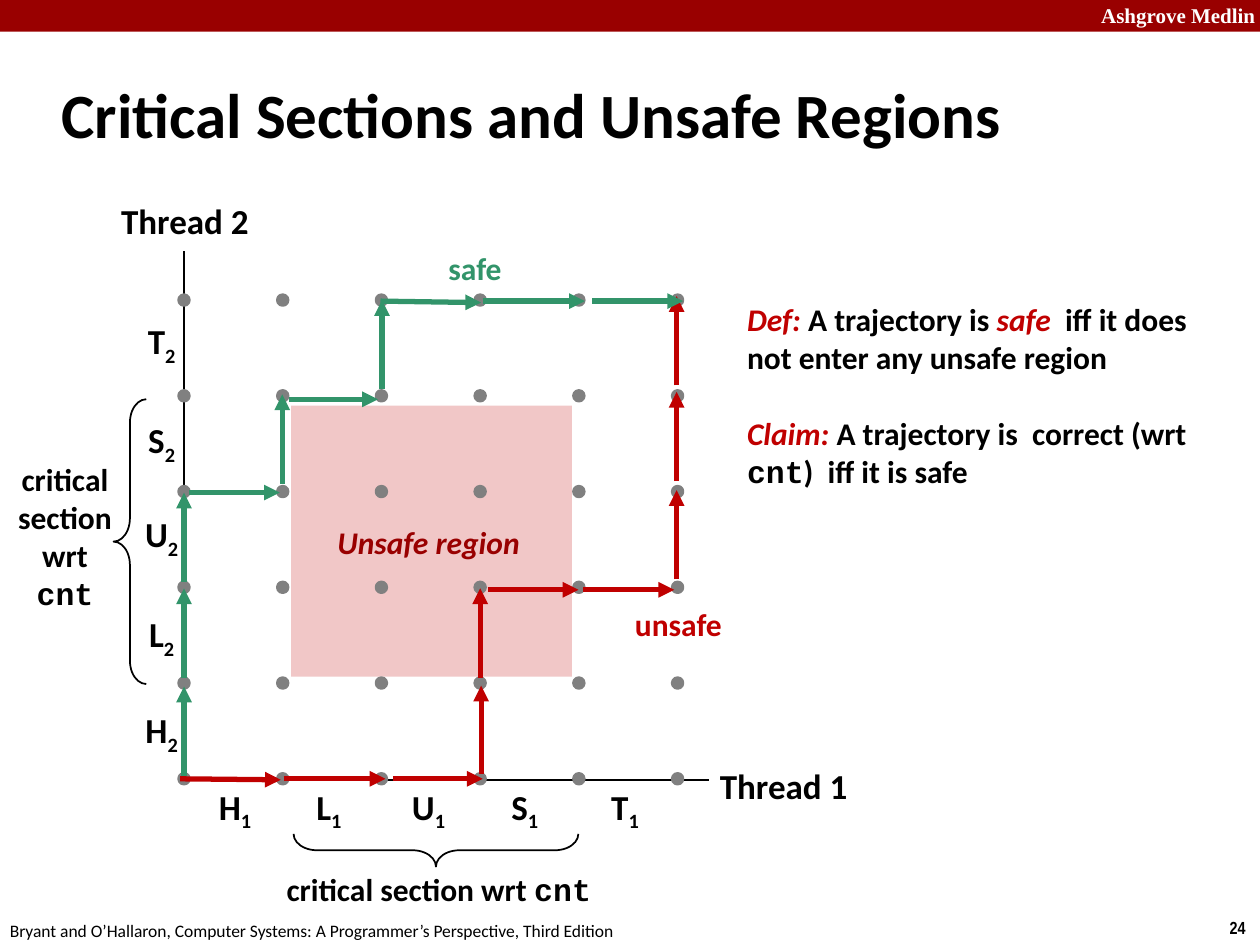
import pptx
import pptx.util
import pptx.dml.color
import pptx.enum.shapes
import pptx.enum.text
import lxml.etree

Cm, Pt = pptx.util.Cm, pptx.util.Pt
Kind = pptx.enum.shapes.MSO_SHAPE
Side = pptx.enum.text.PP_ALIGN
Mid = pptx.enum.text.MSO_ANCHOR.MIDDLE
Top = pptx.enum.text.MSO_ANCHOR.TOP
black, dark, red, green, gray = "000000", "990000", "C00000", "32946A", "808080"
tint = pptx.dml.color.RGBColor.from_string

deck = pptx.Presentation()
deck.slide_width, deck.slide_height = Cm(25.4), Cm(19.05)
slide = deck.slides.add_slide(deck.slide_layouts[6])
shapes = slide.shapes


def write(box, paras, size=18, wrap=False, side=Side.LEFT, anchor=Mid, gap=0):
    frame = shapes.add_textbox(*map(Cm, box)).text_frame
    frame.word_wrap = wrap
    frame.vertical_anchor = anchor
    for k, runs in enumerate(paras):
        para = frame.add_paragraph() if k else frame.paragraphs[0]
        para.alignment = side
        if k:
            para.space_before = Pt(gap)
        for words, face, color, style in runs:
            run = para.add_run()
            run.text = words
            font = run.font
            font.name, font.size = face, Pt(size)
            font.bold, font.italic = "b" in style, "i" in style
            font.color.rgb = tint(color)
            if "s" in style:
                run._r.get_or_add_rPr().set("baseline", "-25000")
    return frame


def draw(ends, color, width, tip=False):
    line = shapes.add_connector(pptx.enum.shapes.MSO_CONNECTOR.STRAIGHT, *map(Cm, ends))
    line.line.color.rgb = tint(color)
    line.line.width = Pt(width)
    if tip:
        tail = lxml.etree.SubElement(line.line._get_or_add_ln(), pptx.oxml.ns.qn("a:tailEnd"))
        tail.set("type", "triangle")
    lxml.etree.SubElement(line._element.spPr, pptx.oxml.ns.qn("a:effectLst"))


for box, color in [((0, 0, 25.4, 0.64), dark), ((5.87, 8.18, 5.66, 5.46), "F1C7C7")]:
    block = shapes.add_shape(Kind.RECTANGLE, *map(Cm, box))
    block.shadow.inherit = False
    block.fill.solid()
    block.fill.fore_color.rgb = tint(color)
    block.line.fill.background()

write((21.95, -0.08, 3.63, 0.76), [[("Ashgrove Medlin", "Times New Roman", "FFFFFF", "b")]], 12, True, anchor=Top)
write((24.54, 18.36, 0.86, 0.69), [[("24", "Arial Narrow", black, "b")]], 10, anchor=Top)
credit = "Bryant and O’Hallaron, Computer Systems: A Programmer’s Perspective, Third Edition"
write((-0.05, 18.42, 12.9, 0.69), [[(credit, "Calibri", black, "")]], 10, anchor=Top)
write((0.99, 1.22, 21.08, 2.11), [[("Critical Sections and Unsafe Regions", "Calibri", black, "b")]], 36, True)

draw((3.71, 15.72, 14.3, 15.72), black, 1)
draw((3.71, 15.72, 3.71, 5.05), black, 1)
for box, words in [((14.25, 15.27, 3.1, 1.12), "Thread 1"), ((2.18, 3.89, 3.1, 1.12), "Thread 2")]:
    write(box, [[(words, "Calibri", black, "b")]], 20, side=Side.CENTER)

steps = zip("HLUST", (4.74, 6.63, 8.64, 10.58, 12.6), (14.76, 12.83, 10.82, 8.92, 6.93))
for name, left, top in steps:
    for x, y, mark in [(left, 16.31, "1"), (3.26, top, "2")]:
        runs = [(name, "Calibri", black, "b"), (mark, "Calibri", black, "bs")]
        write((x - 0.6, y - 0.56, 1.2, 1.12) if mark == "2" else (x - 0.6, 15.75, 1.2, 1.12),
              [runs], 20, side=Side.CENTER)

for col in range(6):
    for row in range(6):
        x, y = 3.61 + 1.99 * col, 15.6 - 1.93 * row
        dot = shapes.add_shape(Kind.OVAL, Cm(x), Cm(y), Cm(0.2), Cm(0.2))
        dot.shadow.inherit = False
        dot.fill.solid()
        dot.fill.fore_color.rgb = tint(gray)
        dot.line.color.rgb = tint(gray)
        dot.line.width = Pt(2)

for left, top, turn in [(2.29, 8.05, 0), (8.46, 14.27, 270)]:
    brace = shapes.add_shape(Kind.LEFT_BRACE, Cm(left), Cm(top), Cm(0.66), Cm(5.74))
    brace.shadow.inherit = False
    brace.adjustments[0] = 0.715
    brace.rotation = turn
    brace.fill.background()
    brace.line.color.rgb = tint(black)
    brace.line.width = Pt(1)

for box, wrap in [((5.49, 17.42, 6.71, 1.02), False), ((0, 9.14, 2.62, 3.33), True)]:
    runs = [("critical section wrt ", "Calibri", black, "b"), ("cnt", "Courier New", black, "b")]
    write(box, [runs], wrap=wrap, side=Side.CENTER)

for box, words, color, style in [
    ((6.55, 10.41, 4.24, 1.02), "Unsafe region", dark, "bi"),
    ((12.55, 12.07, 2.29, 1.02), "unsafe", red, "b"),
    ((8.79, 4.9, 1.6, 1.02), "safe", green, "b"),
]:
    write(box, [[(words, "Calibri", color, style)]], anchor=Top)

rule = [
    ("Def: ", "Calibri", red, "bi"),
    ("A trajectory is ", "Calibri", black, "b"),
    ("safe  ", "Calibri", red, "bi"),
    ("iff it does not enter any unsafe region", "Calibri", black, "b"),
]
claim = [
    ("Claim: ", "Calibri", red, "bi"),
    ("A trajectory is  correct (wrt ", "Calibri", black, "b"),
    ("cnt", "Courier New", black, "b"),
    (")  iff it is safe", "Calibri", black, "b"),
]
note = write((14.81, 6.05, 9.73, 4.62), [rule, claim], wrap=True, anchor=Top, gap=22)
note.margin_top = note.margin_bottom = 0

trails = {
    red: [
        (3.63, 15.7, 5.66, 15.72), (5.72, 15.7, 7.77, 15.7), (7.92, 15.7, 9.73, 15.7),
        (9.7, 15.6, 9.7, 13.82), (9.68, 13.67, 9.68, 11.86),
        (9.83, 11.89, 11.66, 11.89), (11.76, 11.89, 13.59, 11.89),
        (13.64, 11.68, 13.64, 9.88), (13.64, 9.7, 13.64, 7.9), (13.64, 7.77, 13.64, 5.97),
    ],
    green: [
        (3.71, 15.65, 3.71, 13.84), (3.71, 13.67, 3.71, 11.86), (3.71, 11.73, 3.71, 9.93),
        (3.81, 9.93, 5.64, 9.93), (5.69, 9.75, 5.69, 7.95),
        (5.82, 8.05, 7.62, 8.05), (7.7, 7.85, 7.7, 6.05),
        (7.67, 6.07, 9.7, 6.1), (9.73, 6.07, 11.79, 6.07), (11.94, 6.07, 13.77, 6.07),
    ],
}
for color, moves in trails.items():
    for ends in moves:
        draw(ends, color, 3, True)

deck.save("out.pptx")
